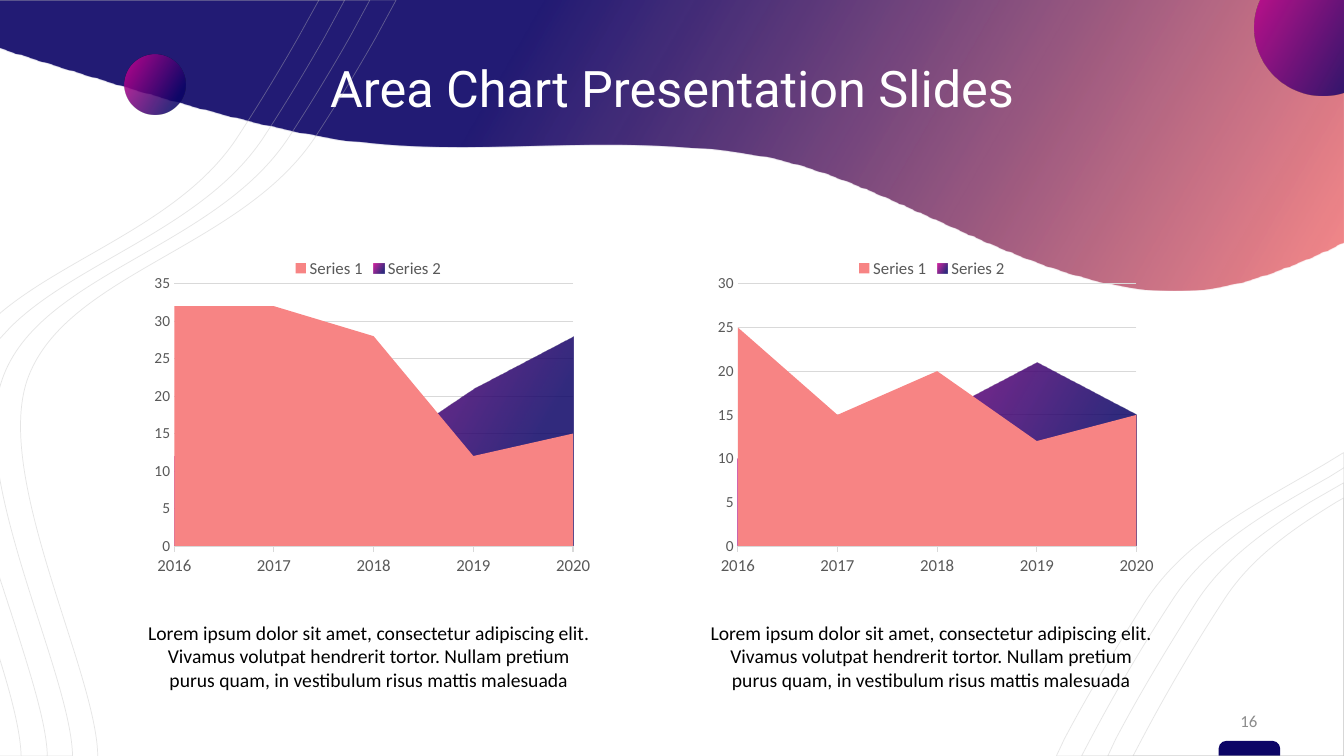
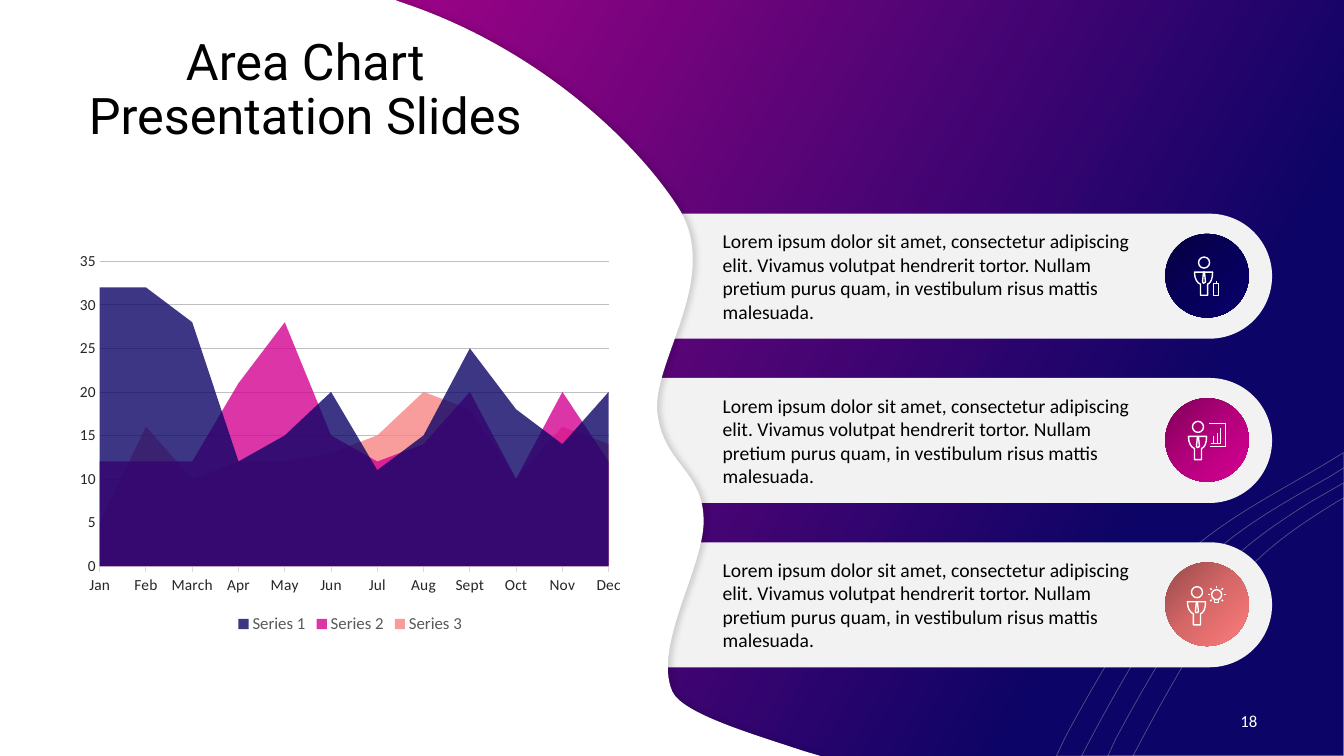
"""Build two area chart slides with curved backgrounds."""
import math

from lxml import etree
from pptx import Presentation
from pptx import util as u
from pptx.chart.data import CategoryChartData
from pptx.dml.color import RGBColor
from pptx.enum import chart as charts, shapes, text
from pptx.oxml import parse_xml
from pptx.oxml.ns import nsdecls, qn

NAVY, MAGENTA, CORAL = "0C0466", "D30392", "F78484"
WHITE, BLACK, GRAY, PALE = "FFFFFF", "000000", "595959", "D9D9D9"
BRAND_GRADIENT = {"angle": 30, "stops": [(0, MAGENTA, 86), (81, NAVY, 84)]}
WAVE_GRADIENT = {"angle": 30, "stops": [(36, NAVY, 90), (100, CORAL, 95)]}

TITLE = "Area Chart Presentation Slides"
LOREM = ("Lorem ipsum dolor sit amet, consectetur adipiscing elit. Vivamus volutpat hendrerit "
         "tortor. Nullam pretium purus quam, in vestibulum risus mattis malesuada")
YEARS = ["2016", "2017", "2018", "2019", "2020"]
YEAR_CHARTS = [
    [("Series 1", [32, 32, 28, 12, 15], CORAL, None),
     ("Series 2", [12, 12, 12, 21, 28], BRAND_GRADIENT, None)],
    [("Series 1", [25, 15, 20, 12, 15], CORAL, None),
     ("Series 2", [10, 8, 15, 21, 15], BRAND_GRADIENT, None)],
]
MONTHS = ["Jan", "Feb", "March", "Apr", "May", "Jun",
          "Jul", "Aug", "Sept", "Oct", "Nov", "Dec"]
MONTH_SERIES = [
    ("Series 1", [32, 32, 28, 12, 15, 20, 11, 15, 25, 18, 14, 20], NAVY, 80),
    ("Series 2", [12, 12, 12, 21, 28, 15, 12, 14, 20, 10, 20, 12], MAGENTA, 80),
    ("Series 3", [5, 16, 10, 12, 12, 13, 15, 20, 18, 10, 16, 14], CORAL, 80),
]

RIGHT_CONTOURS = [
    "M 13.33 4.79 L 13.33 7.5 L 10.99 7.5 L 11.07 7.33 C 11.35 6.8 11.65 6.32 11.87 5.97 "
    "C 12.15 5.54 12.57 5.25 13 4.98 Z",
    "M 13.33 4.94 L 13.33 7.5 L 11.24 7.5 L 11.33 7.33 C 11.61 6.8 11.9 6.32 12.13 5.97 "
    "C 12.4 5.54 12.82 5.25 13.26 4.98 Z",
    "M 13.33 4.49 L 13.33 7.5 L 10.48 7.5 L 10.56 7.33 C 10.84 6.8 11.14 6.32 11.36 5.97 "
    "C 11.77 5.33 12.51 4.98 13.15 4.6 Z",
    "M 13.35 4.63 L 13.35 7.5 L 10.73 7.5 L 10.82 7.33 C 11.1 6.8 11.39 6.32 11.62 5.97 "
    "C 11.98 5.4 12.61 5.06 13.19 4.73 Z",
]
LEFT_CONTOURS = [
    "M -0.02 5.68 L 0.15 6.2 C 0.31 6.71 0.46 7.18 0.47 7.49 L 0.46 7.52 L -0.02 7.52 Z "
    "M -0.02 0 L 3.42 0 L 3.22 0.37 C 3.01 0.74 2.8 1.08 2.63 1.34 "
    "C 2.04 2.26 0.76 2.59 0.1 3.25 L -0.02 3.38 Z",
    "M -0.03 6.44 L -0.03 6.45 C 0.1 6.86 0.2 7.23 0.21 7.49 L 0.21 7.52 L -0.03 7.52 Z "
    "M -0.03 -0.01 L 3.17 -0.01 L 2.96 0.37 C 2.75 0.74 2.54 1.08 2.37 1.34 "
    "C 1.83 2.19 0.69 2.53 0.01 3.1 L -0.03 3.14 Z",
    "M -0.02 0 L 3.93 0 L 3.73 0.37 C 3.52 0.74 3.31 1.08 3.14 1.34 "
    "C 2.41 2.47 0.64 2.71 0.27 3.77 C -0.06 4.74 0.95 6.65 0.97 7.49 L 0.97 7.52 "
    "L -0.02 7.52 Z",
    "M -0.03 4.49 L -0.02 4.64 C 0.13 5.63 0.7 6.86 0.72 7.49 L 0.72 7.5 L -0.03 7.5 Z "
    "M -0.03 0 L 3.67 0 L 3.47 0.37 C 3.26 0.74 3.05 1.08 2.88 1.34 "
    "C 2.16 2.47 0.38 2.71 0.02 3.77 C 0 3.83 -0.02 3.9 -0.03 3.96 L -0.03 3.99 Z",
]
WAVE = ("M 0 0 L 13.33 0 L 13.33 2.4 L 13.19 2.47 C 12.81 2.64 12.47 2.77 12.17 2.83 "
        "C 10.57 3.17 8.97 1.78 7.5 1.54 C 6.03 1.3 4.67 1.58 3.33 1.38 "
        "C 2.33 1.22 1.02 0.8 0.15 0.53 L 0 0.48 Z")
SHEET = ("M 0 0 L 3.92 0 L 3.97 0.02 C 5.31 0.46 6.3 1.39 6.73 2.06 "
         "C 7.16 2.74 6.48 3.57 6.52 4.08 C 6.57 4.59 6.96 4.66 6.98 5.13 "
         "C 7.01 5.59 6.47 6.4 6.67 6.86 C 6.77 7.08 7.46 7.28 7.97 7.45 "
         "L 8.14 7.5 L 0 7.5 Z")

BODY = ("M 0.18 0 L 0 0 C 0 0.07 0.03 0.11 0.06 0.12 L 0.06 0.23 L 0.13 0.23 "
        "L 0.13 0.12 C 0.16 0.11 0.18 0.07 0.18 0 Z")
TIE = "M 0.1 0 L 0.09 0 L 0.08 0.1 L 0.09 0.11 L 0.11 0.1 Z"
BULB_CENTER = (0.51, 0.32)
RAYS = [tuple(center + radius * turn(math.radians(angle))
              for radius in (0.07, 0.09)
              for center, turn in zip(BULB_CENTER, (math.cos, math.sin)))
        for angle in range(135, 406, 45)]
CARDS = [
    {"colors": ("05003F", "070059", "09006A"), "person": (0.29, 0.38), "bulb": [],
     "outline": "M 0.51 0.49 L 0.53 0.49 L 0.53 0.61 L 0.48 0.61 L 0.48 0.49 Z",
     "lines": [(0.51, 0.49, 0.51, 0.47)]},
    {"colors": ("7F0057", "B4007C", "D60093"), "person": (0.23, 0.38), "bulb": [],
     "outline": "M 0.44 0.48 L 0.6 0.48 L 0.6 0.25 L 0.43 0.25",
     "lines": [(0.45, 0.45, 0.55, 0.45), (0.48, 0.45, 0.48, 0.38),
               (0.52, 0.45, 0.52, 0.35), (0.55, 0.45, 0.55, 0.3)]},
    {"colors": ("974949", "D76868", "FF7C7C"), "person": (0.22, 0.39),
     "bulb": [(0.46, 0.27, 0.1, 0.1)],
     "outline": "M 0.53 0.36 L 0.53 0.4 L 0.49 0.4 L 0.49 0.36", "lines": RAYS},
]
ICON_LINE = {"color": WHITE, "width": 1}
CONTOUR_LINE = {"color": "BFBFBF", "width": 0.5, "alpha": 40}


def rgb(value):
    """Turn a hex string into a colour."""
    return RGBColor.from_string(value)


def assign(target, **values):
    """Set several attributes on one object."""
    for name, value in values.items():
        setattr(target, name, value)


def set_alpha(color_element, percent):
    """Give a colour element an opacity in percent."""
    etree.SubElement(color_element, qn("a:alpha"), val=str(percent * 1000))


def paint(fill, element, color, alpha=None):
    """Fill with a solid colour or a gradient."""
    if isinstance(color, str):
        fill.solid()
        fill.fore_color.rgb = rgb(color)
        if alpha:
            set_alpha(element.xpath(".//a:solidFill/a:srgbClr")[0], alpha)
        return
    fill.gradient()
    fill.gradient_angle = 360 - color["angle"]
    stop_list = element.xpath(".//a:gradFill/a:gsLst")[0]
    for stop in list(stop_list):
        stop_list.remove(stop)
    for position, value, opacity in color["stops"]:
        stop = etree.SubElement(stop_list, qn("a:gs"), pos=str(position * 1000))
        set_alpha(etree.SubElement(stop, qn("a:srgbClr"), val=value), opacity)


def stroke(line, color, width, element=None, alpha=None):
    """Style a line, with optional opacity."""
    line.color.rgb = rgb(color)
    line.width = u.Pt(width)
    if alpha:
        set_alpha(element.xpath(".//a:ln//a:srgbClr")[0], alpha)


def finish(shape, fill=None, line=None):
    """Apply fill and line to a shape and drop its shadow."""
    shape.shadow.inherit = False
    if fill:
        paint(shape.fill, shape.element, fill)
    else:
        shape.fill.background()
    if line:
        stroke(shape.line, element=shape.element, **line)
    else:
        shape.line.fill.background()
    return shape


def add_preset(slide, kind, box, fill=None, line=None, adjustments=()):
    """Add a preset shape."""
    shape = slide.shapes.add_shape(kind, *map(u.Inches, box))
    for index, value in enumerate(adjustments):
        shape.adjustments[index] = value
    return finish(shape, fill, line)


def add_outline(slide, outline, fill=None, line=None, offset=(0, 0)):
    """Add a freeform from M, L, C and Z commands."""
    builder, segments, vertices = None, [], []
    for letter in "MLCZ":
        outline = outline.replace(letter, "|" + letter)
    for command in outline.split("|")[1:]:
        letter, *numbers = command.split()
        lengths = [u.Inches(float(number) + offset[index % 2])
                   for index, number in enumerate(numbers)]
        points = list(zip(lengths[::2], lengths[1::2]))
        if letter == "Z":
            builder.add_line_segments(vertices, close=True)
            vertices = []
        elif letter != "M":
            vertices.append(points[-1])
            segments.append(points)
        elif builder is None:
            builder = slide.shapes.build_freeform(*points[0])
        else:
            builder.move_to(*points[0])
    if vertices:
        builder.add_line_segments(vertices, close=False)
    shape = builder.convert_to_shape()
    bend(shape, segments)
    return finish(shape, fill, line)


def bend(shape, segments):
    """Turn the segments that have control points into cubic curves."""
    for straight, points in zip(shape.element.xpath(".//a:lnTo"), segments):
        if len(points) == 3:
            curve = straight.makeelement(qn("a:cubicBezTo"))
            for x, y in points:
                etree.SubElement(curve, qn("a:pt"), x=str(x - shape.left), y=str(y - shape.top))
            straight.getparent().replace(straight, curve)


def add_line(slide, ends, line):
    """Add a straight connector without a shadow."""
    connector = slide.shapes.add_connector(
        shapes.MSO_CONNECTOR.STRAIGHT, *map(u.Inches, ends))
    stroke(connector.line, **line)
    etree.SubElement(connector.element.spPr, qn("a:effectLst"))


def add_text(slide, box, content, size, color, font="Calibri", centered=True,
             inset=0.0, spacing=1.0):
    """Add a wrapped text box anchored in the middle."""
    frame = slide.shapes.add_textbox(*map(u.Inches, box)).text_frame
    assign(frame, word_wrap=True, vertical_anchor=text.MSO_ANCHOR.MIDDLE,
           margin_left=u.Inches(inset), margin_right=u.Inches(inset),
           margin_top=u.Inches(inset / 2), margin_bottom=u.Inches(inset / 2))
    paragraph = frame.paragraphs[0]
    paragraph.text = content
    assign(paragraph, line_spacing=spacing,
           alignment=text.PP_ALIGN.CENTER if centered else text.PP_ALIGN.LEFT)
    style_font(paragraph.font, size, color, font)


def style_font(font, size, color, name="Calibri"):
    """Set name, size and colour of a font."""
    assign(font, name=name, size=u.Pt(size))
    font.color.rgb = rgb(color)


def add_area_chart(slide, box, categories, series_rows, legend_position, axis_sizes,
                   axis_color, grid, layout=None):
    """Add an area chart with styled axes and legend."""
    data = CategoryChartData()
    data.categories = categories
    for name, values, *_ in series_rows:
        data.add_series(name, values)
    chart = slide.shapes.add_chart(charts.XL_CHART_TYPE.AREA, *map(u.Inches, box), data).chart
    assign(chart, has_title=False, has_legend=True)
    style_font(chart.font, 10, BLACK)
    assign(chart.legend, position=legend_position, include_in_layout=False)
    style_font(chart.legend.font, 12, GRAY)
    chart.plots[0].vary_by_categories = False
    for series, (_, _, color, alpha) in zip(chart.plots[0].series, series_rows):
        paint(series.format.fill, series._element, color, alpha)
    ticks = (charts.XL_TICK_MARK.OUTSIDE, charts.XL_TICK_MARK.NONE)
    for axis, size, tick in zip((chart.category_axis, chart.value_axis), axis_sizes, ticks):
        assign(axis, major_tick_mark=tick, minor_tick_mark=charts.XL_TICK_MARK.NONE)
        style_font(axis.tick_labels.font, size, axis_color)
    chart.category_axis.has_major_gridlines = False
    stroke(chart.category_axis.format.line, PALE, 0.75)
    chart.value_axis.format.line.fill.background()
    stroke(chart.value_axis.major_gridlines.format.line, *grid)
    if layout:
        plot_area = chart._chartSpace.xpath("c:chart/c:plotArea")[0]
        for old in plot_area.findall(qn("c:layout")):
            plot_area.remove(old)
        parts = [("layoutTarget", "inner"), ("xMode", "edge"), ("yMode", "edge")]
        parts += zip("xywh", layout)
        manual = "".join(f'<c:{tag} val="{value}"/>' for tag, value in parts)
        plot_area.insert(0, parse_xml(f'<c:layout {nsdecls("c")}><c:manualLayout>{manual}'
                                      '</c:manualLayout></c:layout>'))


def start_slide(presentation, background, number, number_color):
    """Add a slide with background, footer tab, contours and page number."""
    slide = presentation.slides.add_slide(presentation.slide_layouts[6])
    paint(slide.background.fill, slide.element, background)
    add_preset(slide, shapes.MSO_SHAPE.ROUND_2_SAME_RECTANGLE, (12.09, 7.35, 0.61, 0.15),
               NAVY, adjustments=(0.5, 0))
    for contour in RIGHT_CONTOURS:
        add_outline(slide, contour, line=CONTOUR_LINE)
    add_text(slide, (12.16, 6.95, 0.46, 0.4), number, 12, number_color)
    return slide


def add_title(slide, width, color):
    """Add the slide title."""
    add_text(slide, (0.71, 0.44, width, 0.93), TITLE, 36, color, "Roboto", inset=0.1, spacing=0.9)


def build_year_slide(presentation):
    """Build the slide with two yearly charts."""
    slide = start_slide(presentation, WHITE, "16", "8C8C8C")
    add_outline(slide, WAVE, WAVE_GRADIENT)
    add_title(slide, 11.92, WHITE)
    for box in ((12.45, -0.4, 1.35, 1.35), (1.24, 0.54, 0.6, 0.6)):
        add_preset(slide, shapes.MSO_SHAPE.OVAL, box, BRAND_GRADIENT)
    for column, series_rows in enumerate(YEAR_CHARTS):
        add_area_chart(slide, (1.26 + 5.59 * column, 2.45, 4.79, 3.38), YEARS, series_rows,
                       charts.XL_LEGEND_POSITION.TOP, (12, 11), GRAY, (PALE, 0.75),
                       (0.098, 0.108, 0.826, 0.77))
        add_text(slide, (1.45 + 5.58 * column, 6.15, 4.42, 0.71), LOREM, 14, BLACK)
    for contour in LEFT_CONTOURS:
        add_outline(slide, contour, line=CONTOUR_LINE)


def add_card(slide, top, card):
    """Add a rounded card with its text, disc and icon."""
    oval = shapes.MSO_SHAPE.OVAL
    add_preset(slide, shapes.MSO_SHAPE.ROUNDED_RECTANGLE, (5.9, top, 6.72, 1.24), "F2F2F2",
               adjustments=(0.5,))
    disc_x, disc_y = 11.56, top + 0.2
    stops = [(position, color, 100) for position, color in zip((0, 50, 100), card["colors"])]
    add_preset(slide, oval, (disc_x, disc_y, 0.83, 0.83), {"angle": 45, "stops": stops})
    add_text(slide, (7.17, top + 0.15, 4.13, 0.94), LOREM + ".", 14, BLACK, centered=False)
    person = (disc_x + card["person"][0], disc_y + card["person"][1])
    add_preset(slide, oval, (person[0] + 0.04, person[1] - 0.15, 0.11, 0.11), line=ICON_LINE)
    for outline, offset in ((BODY, person), (TIE, person), (card["outline"], (disc_x, disc_y))):
        add_outline(slide, outline, line=ICON_LINE, offset=offset)
    for x, y, width, height in card["bulb"]:
        add_preset(slide, oval, (disc_x + x, disc_y + y, width, height), line=ICON_LINE)
    for x1, y1, x2, y2 in card["lines"]:
        add_line(slide, (disc_x + x1, disc_y + y1, disc_x + x2, disc_y + y2), ICON_LINE)


def build_month_slide(presentation):
    """Build the slide with a monthly chart and three cards."""
    slide = start_slide(presentation, BRAND_GRADIENT, "18", WHITE)
    for row, card in enumerate(CARDS):
        add_card(slide, 2.12 + 1.63 * row, card)
    sheet = add_outline(slide, SHEET, WHITE)
    effects = sheet.element.spPr.find(qn("a:effectLst"))
    shadow = etree.SubElement(effects, qn("a:outerShdw"), blurRad=str(u.Pt(4)),
                              dist=str(u.Pt(3)), dir="0", algn="l", rotWithShape="0")
    set_alpha(etree.SubElement(shadow, qn("a:srgbClr"), val=BLACK), 15)
    add_title(slide, 4.64, BLACK)
    add_area_chart(slide, (0.68, 2.42, 5.59, 3.91), MONTHS, MONTH_SERIES,
                   charts.XL_LEGEND_POSITION.BOTTOM, (11, 11), "262626", ("BFBFBF", 0.5))


def main():
    """Create and save the presentation."""
    presentation = Presentation()
    assign(presentation, slide_width=u.Inches(40 / 3), slide_height=u.Inches(7.5))
    build_year_slide(presentation)
    build_month_slide(presentation)
    presentation.save("out.pptx")


if __name__ == "__main__":
    main()
